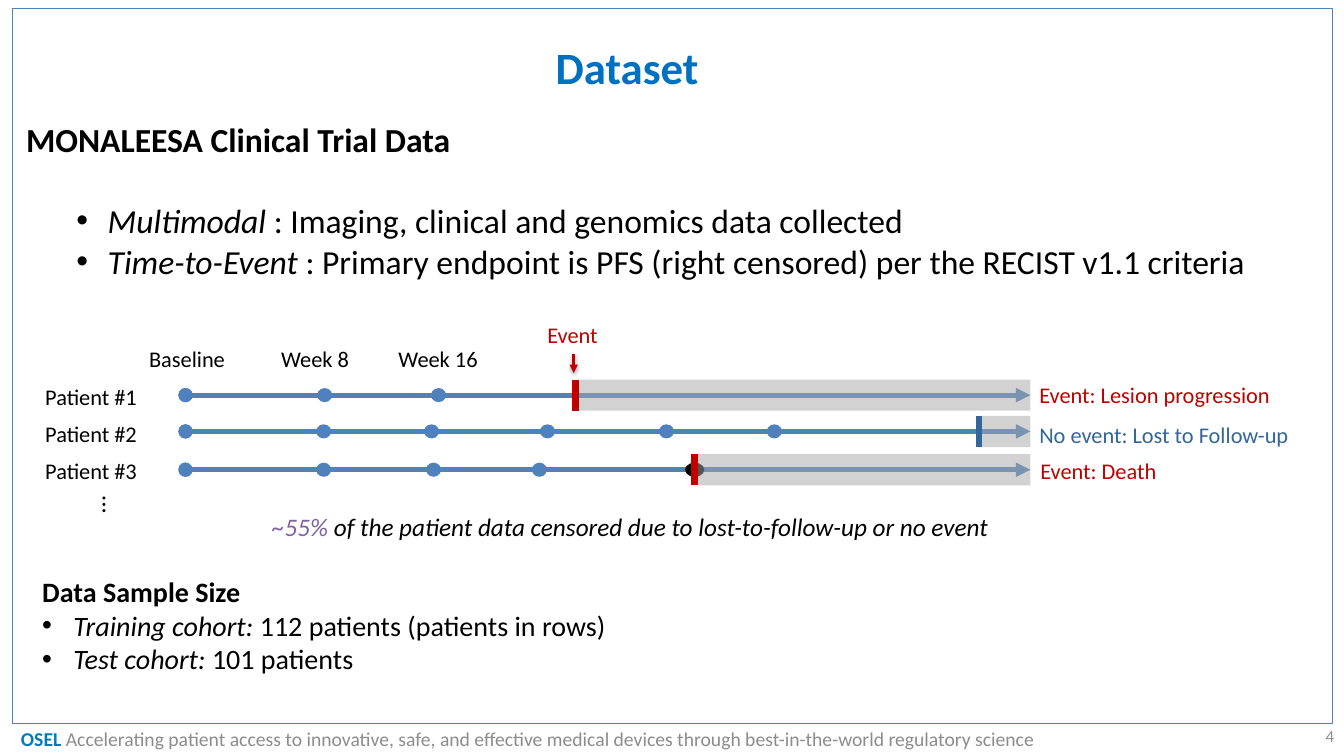
from lxml import etree
from pptx import Presentation
from pptx.dml.color import RGBColor
from pptx.enum.shapes import MSO_CONNECTOR, MSO_SHAPE
from pptx.enum.text import MSO_ANCHOR, PP_ALIGN
from pptx.oxml.ns import qn
from pptx.util import Inches, Pt

STRAIGHT = MSO_CONNECTOR.STRAIGHT
RECT, OVAL = MSO_SHAPE.RECTANGLE, MSO_SHAPE.OVAL
LEFT, CENTER, RIGHT = PP_ALIGN.LEFT, PP_ALIGN.CENTER, PP_ALIGN.RIGHT
TOP, MIDDLE = MSO_ANCHOR.TOP, MSO_ANCHOR.MIDDLE

BLUE, RED, NAVY, GRAY, BLACK = "4F81BD", "C00000", "336699", "8C8C8C", "000000"
START_X, END_X = 1.84, 10.22
BAND_H = 0.31
LABEL_H = 0.37

# name, line y, visit dots, event x, marker colour, outcome, outcome (x, y), black dot at event
PATIENTS = [
    ("Patient #1", 3.92, [3.22, 4.35], 5.71, RED,
     "Event: Lesion progression", (10.21, 3.73), False),
    ("Patient #2", 4.28, [3.21, 4.28, 5.43, 6.61, 7.68], 9.71, NAVY,
     "No event: Lost to Follow-up", (10.21, 4.13), False),
    ("Patient #3", 4.66, [3.21, 4.3, 5.35], 6.89, RED,
     "Event: Death", (10.22, 4.49), True),
]
VISITS = [("Baseline", 1.16), ("Week 8", 2.43), ("Week 16", 3.65)]


def rgb(color):
    """Turn a hex string into a colour."""
    return RGBColor.from_string(color)


def add_run(p, text, size=16, color=BLACK, bold=False, italic=False):
    """Append a formatted run to a paragraph."""
    r = p.add_run()
    r.text = text
    r.font.name, r.font.size = "Calibri", Pt(size)
    r.font.bold, r.font.italic = bold, italic
    r.font.color.rgb = rgb(color)


def add_text(s, x, y, w, h, *runs, align=LEFT, anchor=TOP, **fmt):
    """Add a text box whose first paragraph holds (text, format) runs."""
    sp = s.shapes.add_textbox(Inches(x), Inches(y), Inches(w), Inches(h))
    tf = sp.text_frame
    tf.word_wrap, tf.vertical_anchor = True, anchor
    p = tf.paragraphs[0]
    p.alignment = align
    for text, extra in runs:
        add_run(p, text, **{**fmt, **extra})
    return sp


def add_bullet(sp, term, text, size, margin, level=0, before=0):
    """Append a bullet with an italic lead term."""
    p = sp.text_frame.add_paragraph()
    p.level, p.space_before = level, Pt(before)
    pPr = p._p.get_or_add_pPr()
    pPr.set("marL", str(Inches(margin)))
    pPr.set("indent", str(Inches(-0.31)))
    etree.SubElement(pPr, qn("a:buFont")).set("typeface", "Arial")
    etree.SubElement(pPr, qn("a:buChar")).set("char", "•")
    add_run(p, term, size=size, italic=True)
    add_run(p, text, size=size)


def add_shape(s, kind, x, y, w, h, fill=None, alpha=None, line=None):
    """Add a flat preset shape, optionally see-through or outlined."""
    sp = s.shapes.add_shape(kind, Inches(x), Inches(y), Inches(w), Inches(h))
    sp.shadow.inherit = False
    if fill:
        sp.fill.solid()
        sp.fill.fore_color.rgb = rgb(fill)
    else:
        sp.fill.background()
    if alpha:
        clr = sp._element.spPr.find(".//" + qn("a:srgbClr"))
        etree.SubElement(clr, qn("a:alpha")).set("val", str(alpha * 1000))
    if line:
        sp.line.color.rgb, sp.line.width = rgb(line), Pt(0.5)
    else:
        sp.line.fill.background()
    return sp


def add_line(s, x1, y1, x2, y2, color, width, head=None, tail=None):
    """Add a straight line with optional end marks."""
    c = s.shapes.add_connector(STRAIGHT, Inches(x1), Inches(y1), Inches(x2), Inches(y2))
    c.line.color.rgb, c.line.width = rgb(color), Pt(width)
    ln = c.line._get_or_add_ln()
    for tag, mark in (("a:headEnd", head), ("a:tailEnd", tail)):
        if mark:
            etree.SubElement(ln, qn(tag)).set("type", mark)
    etree.SubElement(c._element.spPr, qn("a:effectLst"))
    return c


def add_drop_shadow(c):
    """Give a connector a soft shadow straight below it."""
    effects = c._element.spPr.find(qn("a:effectLst"))
    shadow = etree.SubElement(effects, qn("a:outerShdw"), blurRad=str(Pt(3.1)),
                              dist=str(Pt(1.6)), dir="5400000", rotWithShape="0")
    clr = etree.SubElement(shadow, qn("a:srgbClr"), val=BLACK)
    etree.SubElement(clr, qn("a:alpha"), val="38000")


def add_dot(s, x, y, w=0.15, color=BLUE):
    """Add a visit dot centred on a point."""
    add_shape(s, OVAL, x - w / 2, y - 0.07, w, 0.14, fill=color)


def add_patient(s, row, name, y, dots, event_x, color, outcome, outcome_at, black_dot):
    """Draw one patient's timeline with its censored band and outcome."""
    add_text(s, 0.35, 3.75 + LABEL_H * row, 1.35, LABEL_H, (name, {}))
    arrow = add_line(s, START_X, y, END_X, y, BLUE, 3.5, head="oval", tail="triangle")
    for x in dots:
        add_dot(s, x, y)
    if black_dot:
        add_dot(s, event_x, y, 0.19, BLACK)
    top = y - BAND_H / 2
    band = add_shape(s, RECT, event_x, top, END_X - event_x, BAND_H, fill="A6A6A6", alpha=50)
    arrow.end_connect(band, 3)
    add_line(s, event_x, top, event_x, top + BAND_H, color, 5)
    add_text(s, *outcome_at, 2.78, LABEL_H, (outcome, {}), color=color)


def add_frame(s):
    """Add the border, footer line and page number."""
    add_shape(s, RECT, 0.12, 0.08, 13.1, 7.1, line=BLUE)
    add_text(s, 0.11, 7.13, 11.33, 0.4, ("OSEL ", {"color": "007CBA", "bold": True}),
             ("Accelerating patient access to innovative, safe, and effective medical "
              "devices through best-in-the-world regulatory science", {}),
             anchor=MIDDLE, size=14, color=GRAY)
    add_text(s, 10.22, 7.1, 3.11, 0.4, ("4", {}), align=RIGHT, anchor=MIDDLE,
             size=12, color=GRAY)


def add_title(s, text):
    """Place and format the title placeholder."""
    sp = s.shapes.title
    sp.left, sp.top, sp.width, sp.height = (Inches(v) for v in (0.47, 0.16, 11.5, 1.01))
    sp.text_frame.vertical_anchor = MIDDLE
    p = sp.text_frame.paragraphs[0]
    p.alignment = CENTER
    add_run(p, text, size=32, color="0070C0", bold=True)


def add_timeline(s):
    """Draw the visit labels, patient rows and event pointer."""
    for name, x in VISITS:
        add_text(s, x, 3.37, 1.39, LABEL_H, (name, {}), align=CENTER)
    for row, patient in enumerate(PATIENTS):
        add_patient(s, row, *patient)
    more = add_text(s, 0.67, 4.81, 0.55, 0.4, ("…", {}), align=CENTER, size=18)
    more.rotation = 270
    add_text(s, 5.33, 3.14, 0.79, LABEL_H, ("Event", {}), color=RED)
    add_drop_shadow(add_line(s, 5.69, 3.51, 5.69, 3.7, RED, 2, tail="triangle"))
    add_text(s, 2.6, 5.02, 7.61, 0.4, ("~55%", {"color": "8064A2"}),
             (" of the patient data censored due to lost-to-follow-up or no event", {}),
             size=18, italic=True)


def main():
    """Build the dataset slide and save it."""
    prs = Presentation()
    prs.slide_width, prs.slide_height = Inches(13.33), Inches(7.5)
    s = prs.slides.add_slide(prs.slide_layouts[5])
    add_frame(s)
    add_title(s, "Dataset")
    sp = add_text(s, 0.16, 1.13, 12.47, 1.72, ("MONALEESA Clinical Trial Data", {}),
                  size=24, bold=True)
    add_bullet(sp, "Multimodal", " : Imaging, clinical and genomics data collected",
               24, 0.81, level=1, before=29.3)
    add_bullet(sp, "Time-to-Event ",
               ": Primary endpoint is PFS (right censored) per the RECIST v1.1 criteria",
               24, 0.81, level=1)
    add_timeline(s)
    sp = add_text(s, 0.32, 5.65, 12.71, 1.11, ("Data Sample Size", {}), size=20, bold=True)
    add_bullet(sp, "Training cohort: ", "112 patients (patients in rows)", 20, 0.31)
    add_bullet(sp, "Test cohort: ", "101 patients", 20, 0.31)
    prs.save("out.pptx")


if __name__ == "__main__":
    main()
